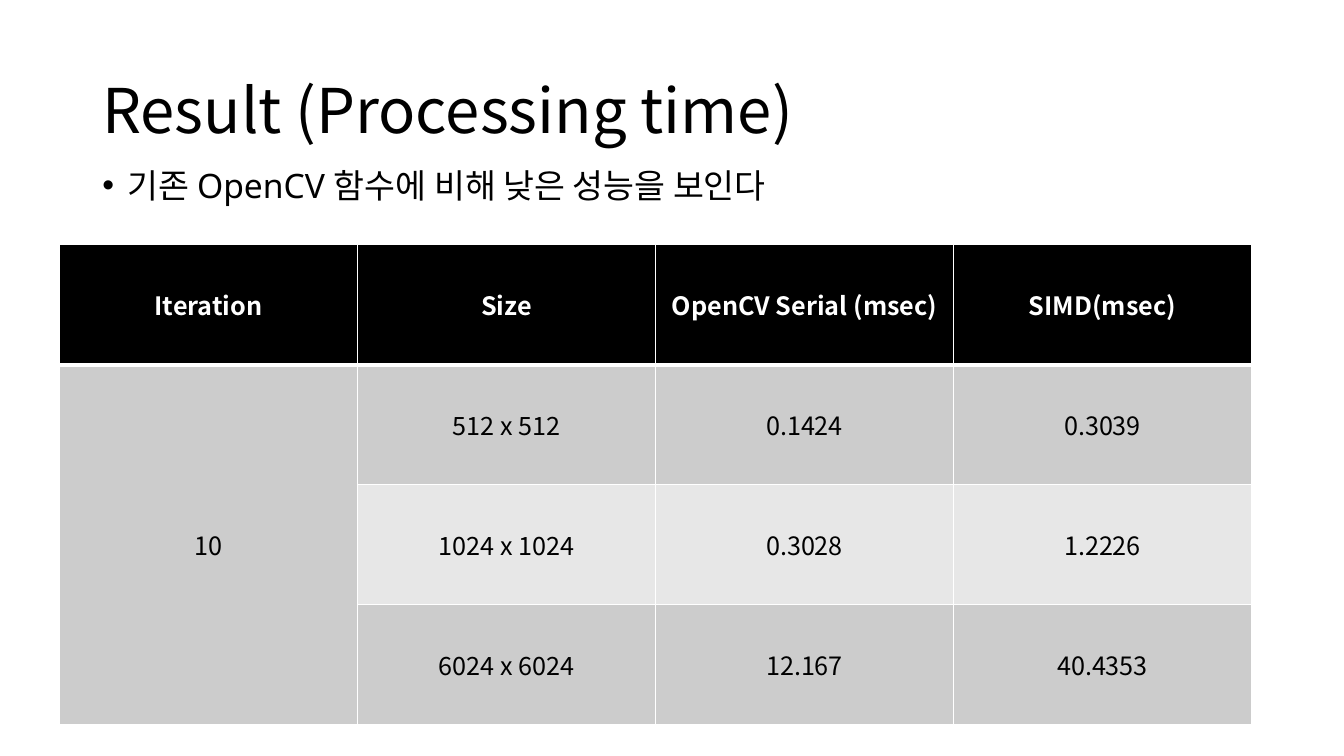
import dataclasses

import lxml.etree
import pptx
import pptx.dml.color
import pptx.enum.text
import pptx.oxml.ns
import pptx.util

Cm = pptx.util.Cm
Pt = pptx.util.Pt
qn = pptx.oxml.ns.qn

COLOURS = {"black": "000000", "white": "FFFFFF", "band": "CCCCCC", "light": "E7E7E7"}
KOREAN_FONT = "Noto Sans CJK KR"
LATIN_FONT = "Noto Sans"
COLUMN_WIDTH = Cm(7.51)
ROW_HEIGHT = Cm(3.02)
RESULTS = [
    ["Iteration", "Size", "OpenCV Serial (msec)", "SIMD(msec)"],
    ["10", "512 x 512", "0.1424", "0.3039"],
    ["", "1024 x 1024", "0.3028", "1.2226"],
    ["", "6024 x 6024", "12.167", "40.4353"],
]


@dataclasses.dataclass
class TextStyle:
    """Character formatting of a run."""

    size: int
    font: str = KOREAN_FONT
    colour: str = "black"
    bold: bool = False


@dataclasses.dataclass
class TextBlock:
    """A one-paragraph text box; lengths are in centimetres."""

    text: str
    top: float
    height: float
    style: TextStyle
    anchor: pptx.enum.text.MSO_ANCHOR
    bullet: bool = False


@dataclasses.dataclass
class RowStyle:
    """Fill, text and bottom border of a table row."""

    fill: str
    text: TextStyle
    bottom_border: int = 1


TEXT_BLOCKS = [
    TextBlock("Result (Processing time)", 1.02, 3.68, TextStyle(44),
              pptx.enum.text.MSO_ANCHOR.MIDDLE),
    TextBlock("기존 OpenCV 함수에 비해 낮은 성능을 보인다", 4.14, 1.47,
              TextStyle(24, LATIN_FONT), pptx.enum.text.MSO_ANCHOR.TOP, bullet=True),
]
HEADER = RowStyle("black", TextStyle(18, colour="white", bold=True), 3)
ODD_ROW = RowStyle("band", TextStyle(18))
EVEN_ROW = RowStyle("light", TextStyle(18))


def rgb(name: str) -> pptx.dml.color.RGBColor:
    """Look up a named colour."""
    return pptx.dml.color.RGBColor.from_string(COLOURS[name])


def add_run(paragraph, text: str, style: TextStyle) -> None:
    """Add one formatted run with a Korean fallback font."""
    run = paragraph.add_run()
    run.text = text
    run.font.size = Pt(style.size)
    run.font.name = style.font
    run.font.bold = style.bold
    run.font.color.rgb = rgb(style.colour)
    properties = run._r.get_or_add_rPr()
    lxml.etree.SubElement(properties, qn("a:ea"), typeface=KOREAN_FONT)


def add_bullet(paragraph) -> None:
    """Give a paragraph a round bullet with a hanging indent."""
    properties = paragraph._p.get_or_add_pPr()
    properties.set("marL", str(Cm(0.64)))
    properties.set("indent", str(-Cm(0.64)))
    lxml.etree.SubElement(properties, qn("a:buFont"), typeface="Arial")
    lxml.etree.SubElement(properties, qn("a:buChar"), char="•")


def add_text(slide, block: TextBlock) -> None:
    """Draw a text block at the common left margin."""
    shape = slide.shapes.add_textbox(Cm(2.33), Cm(block.top), Cm(29.21), Cm(block.height))
    frame = shape.text_frame
    frame.word_wrap = True
    frame.vertical_anchor = block.anchor
    paragraph = frame.paragraphs[0]
    paragraph.line_spacing = 0.9
    if block.bullet:
        paragraph.space_before = Pt(10)
        add_bullet(paragraph)
    add_run(paragraph, block.text, block.style)


def add_borders(cell, top: int, bottom: int) -> None:
    """Draw white borders, with top and bottom widths in points."""
    properties = cell._tc.get_or_add_tcPr()
    widths = {"lnL": 1, "lnR": 1, "lnT": top, "lnB": bottom}
    for position, (side, width) in enumerate(widths.items()):
        line = lxml.etree.Element(qn(f"a:{side}"), w=str(Pt(width)))
        fill = lxml.etree.SubElement(line, qn("a:solidFill"))
        lxml.etree.SubElement(fill, qn("a:srgbClr"), val=COLOURS["white"])
        properties.insert(position, line)


def add_results(slide) -> None:
    """Draw the processing time table with its merged iteration cell."""
    row_count, column_count = len(RESULTS), len(RESULTS[0])
    table = slide.shapes.add_table(
        row_count, column_count, Cm(1.5), Cm(6.17),
        COLUMN_WIDTH * column_count, ROW_HEIGHT * row_count).table
    for column in table.columns:
        column.width = COLUMN_WIDTH
    top_border = 1
    for row_index, values in enumerate(RESULTS):
        table.rows[row_index].height = ROW_HEIGHT
        style = HEADER if row_index == 0 else ODD_ROW if row_index % 2 else EVEN_ROW
        for column_index, value in enumerate(values):
            cell = table.cell(row_index, column_index)
            cell.fill.solid()
            cell.fill.fore_color.rgb = rgb(style.fill)
            cell.vertical_anchor = pptx.enum.text.MSO_ANCHOR.MIDDLE
            add_borders(cell, top_border, style.bottom_border)
            if value:
                paragraph = cell.text_frame.paragraphs[0]
                paragraph.alignment = pptx.enum.text.PP_ALIGN.CENTER
                add_run(paragraph, value, style.text)
        top_border = style.bottom_border
    table.cell(1, 0).merge(table.cell(row_count - 1, 0))


def main() -> None:
    """Build and save the slide."""
    presentation = pptx.Presentation()
    presentation.slide_width = Cm(33.87)
    presentation.slide_height = Cm(19.05)
    slide = presentation.slides.add_slide(presentation.slide_layouts[6])
    for block in TEXT_BLOCKS:
        add_text(slide, block)
    add_results(slide)
    presentation.save("out.pptx")


main()
